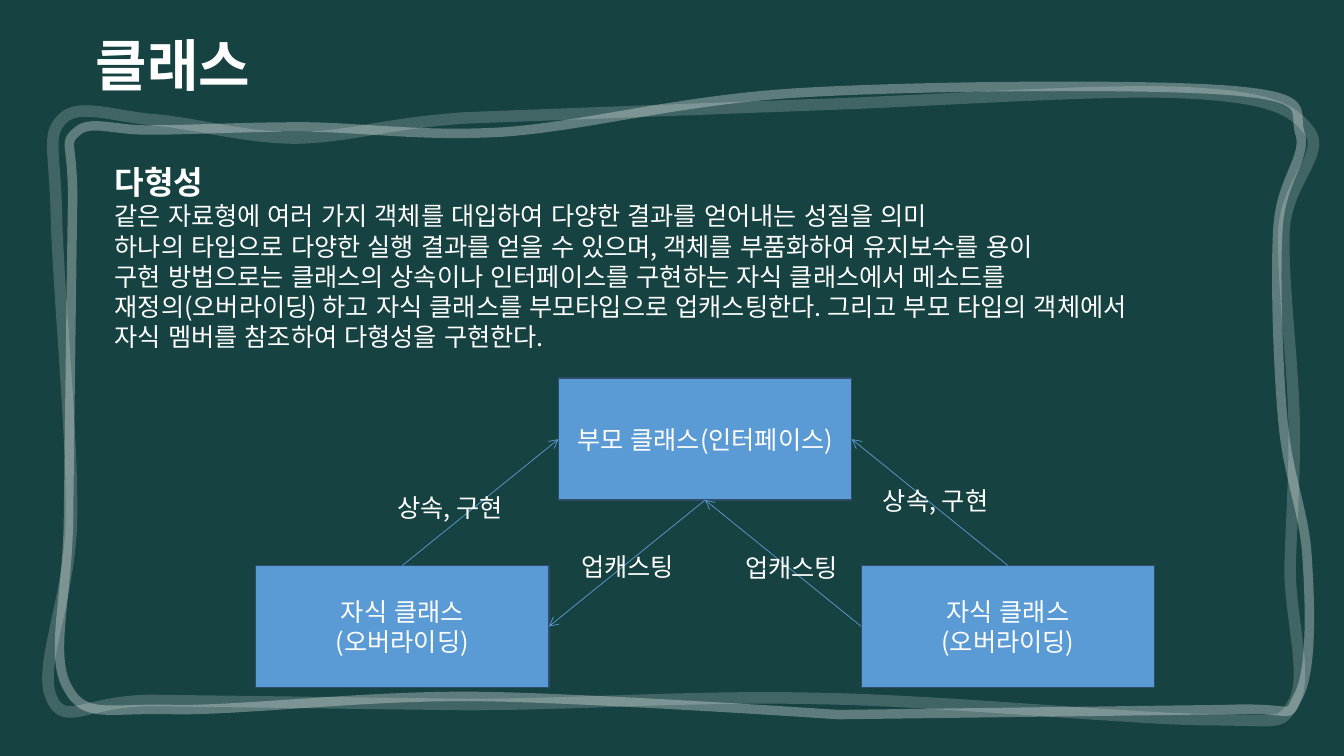
from dataclasses import dataclass

from lxml import etree
from pptx import Presentation
from pptx.dml.color import RGBColor
from pptx.enum.lang import MSO_LANGUAGE_ID
from pptx.enum.shapes import MSO_CONNECTOR, MSO_SHAPE
from pptx.enum.text import MSO_ANCHOR, MSO_AUTO_SIZE, PP_ALIGN
from pptx.oxml.ns import qn
from pptx.util import Cm, Pt

RECT, LINE = MSO_SHAPE.RECTANGLE, MSO_CONNECTOR.STRAIGHT
TOP, MID = MSO_ANCHOR.TOP, MSO_ANCHOR.MIDDLE
LEFT, CENTER = PP_ALIGN.LEFT, PP_ALIGN.CENTER
FIT = MSO_AUTO_SIZE.NONE
KOREAN = MSO_LANGUAGE_ID.KOREAN
# Connection sites of a rectangle
NORTH, WEST, SOUTH, EAST = range(4)


@dataclass(frozen=True)
class Theme:
    font: str = "Noto Sans CJK KR"
    board: RGBColor = RGBColor(0x16, 0x42, 0x41)
    chalk: RGBColor = RGBColor(0xFF, 0xFF, 0xFF)
    box: RGBColor = RGBColor(0x5B, 0x9B, 0xD5)
    edge: RGBColor = RGBColor(0x2D, 0x4D, 0x6A)
    title: int = 40
    head: int = 23
    text: int = 18


THEME = Theme()

TITLE = "클래스"
HEAD = "다형성"
BODY = [
    "같은 자료형에 여러 가지 객체를 대입하여 다양한 결과를 얻어내는 성질을 의미",
    "하나의 타입으로 다양한 실행 결과를 얻을 수 있으며, 객체를 부품화하여 유지보수를 용이",
    "구현 방법으로는 클래스의 상속이나 인터페이스를 구현하는 자식 클래스에서 메소드를",
    "재정의(오버라이딩) 하고 자식 클래스를 부모타입으로 업캐스팅한다. 그리고 부모 타입의 객체에서",
    "자식 멤버를 참조하여 다형성을 구현한다.",
]
PARENT = ["부모 클래스(인터페이스)"]
CHILD = ["자식 클래스", "(오버라이딩)"]

# Name: lines, column (-1 left, 0 middle, 1 right), top in cm
BOXES = {
    "parent": (PARENT, 0, 9.53),
    "left": (CHILD, -1, 14.25),
    "right": (CHILD, 1, 14.25),
}
# From box and site, to box and site
ARROWS = [
    ("left", NORTH, "parent", WEST),
    ("parent", SOUTH, "left", EAST),
    ("right", WEST, "parent", SOUTH),
    ("right", NORTH, "parent", EAST),
]
# Text, left, top, width in cm
LABELS = [
    ("상속, 구현", 9.77, 12.27, 3.2),
    ("업캐스팅", 14.4, 13.77, 3.07),
    ("업캐스팅", 18.53, 13.79, 3.07),
    ("상속, 구현", 22, 12.1, 3.2),
]
# Chalk strokes: width in points, opacity in percent, bounds (left, top,
# width, height), start, then parts, all in inches; a part of three points
# is a Bezier curve, of one point a line
STROKES = [
    (6.75, 31, (0.59, 0.86, 12.4, 6.23), (1.51, 1.29), [
        [(1.14, 1.3), (0.89, 1.18), (0.76, 1.31)],
        [(0.62, 1.43), (0.73, 1.4), (0.72, 2.04)],
        [(0.71, 2.68), (0.69, 4.34), (0.68, 5.14)],
        [(0.67, 5.94), (0.49, 6.5), (0.67, 6.82)],
        [(0.84, 7.14), (1.06, 7.02), (1.73, 7.04)],
        [(2.4, 7.05), (3.61, 6.9), (4.71, 6.91)],
        [(5.8, 6.92), (8.32, 7.09), (8.32, 7.09)],
        [(12.15, 7.04)],
        [(12.91, 7.01), (12.75, 7.16), (12.88, 6.91)],
        [(13.02, 6.66), (13, 6), (12.97, 5.55)],
        [(12.95, 5.1), (12.78, 4.74), (12.73, 4.19)],
        [(12.68, 3.64), (12.65, 2.73), (12.68, 2.26)],
        [(12.71, 1.78), (12.97, 1.56), (12.9, 1.33)],
        [(12.82, 1.11), (13.06, 0.97), (12.23, 0.9)],
        [(11.41, 0.83), (9.15, 0.85), (7.95, 0.92)],
        [(6.74, 0.99), (5.83, 1.25), (5, 1.31)],
        [(4.17, 1.36), (3.57, 1.26), (2.99, 1.26)],
        [(2.4, 1.26), (1.88, 1.29), (1.51, 1.29)],
    ]),
    (8.25, 18, (0.47, 0.91, 12.56, 6.24), (1.54, 1.19), [
        [(1.15, 1.16), (0.79, 1.02), (0.63, 1.17)],
        [(0.46, 1.33), (0.54, 1.45), (0.56, 2.11)],
        [(0.57, 2.76), (0.72, 4.3), (0.71, 5.1)],
        [(0.71, 5.91), (0.37, 6.61), (0.51, 6.92)],
        [(0.64, 7.23), (0.86, 6.94), (1.54, 6.95)],
        [(4.62, 6.99)],
        [(5.72, 6.99), (6.9, 6.9), (8.12, 6.93)],
        [(9.34, 6.95), (11.17, 7.13), (11.96, 7.14)],
        [(12.74, 7.14), (12.7, 7.21), (12.84, 6.96)],
        [(12.98, 6.71), (12.8, 6.11), (12.8, 5.65)],
        [(12.81, 5.19), (12.85, 4.74), (12.84, 4.17)],
        [(12.83, 3.61), (12.72, 2.76), (12.74, 2.28)],
        [(12.77, 1.8), (13.16, 1.52), (12.99, 1.3)],
        [(12.82, 1.07), (12.57, 0.96), (11.75, 0.92)],
        [(10.93, 0.88), (9.3, 1), (8.08, 1.04)],
        [(4.62, 1.17)],
        [(3.79, 1.23), (3.46, 1.36), (2.94, 1.37)],
        [(2.43, 1.37), (1.92, 1.22), (1.54, 1.19)],
    ]),
]
INCH = 2.54
BOX_W, BOX_H, CENTER_X, GAP_X, INSET = 7.39, 3.07, 17.77, 7.63, 0.4


def write(shape, rows, align=LEFT, anchor=TOP):
    """Fill a shape with paragraphs; each row is (text, size, bold)."""
    frame = shape.text_frame
    frame.word_wrap, frame.auto_size = True, FIT
    frame.vertical_anchor = anchor
    frame.text = "\n".join(text for text, _, _ in rows)
    for para, (_, size, bold) in zip(frame.paragraphs, rows):
        para.alignment = align
        font = para.font
        font.name, font.size, font.bold = THEME.font, Pt(size), bold
        font.language_id = KOREAN
        font.color.rgb = THEME.chalk
        props = para._p.pPr.find(qn("a:defRPr"))
        latin = props.find(qn("a:latin"))
        latin.addnext(props.makeelement(qn("a:ea"), {"typeface": THEME.font}))


def plain(lines):
    return [(line, THEME.text, False) for line in lines]


def draw_stroke(shapes, width, alpha, bounds, start, parts):
    """Set up a freeform over the bounds, then give it the curved outline."""
    x, y, w, h = (Cm(n * INCH) for n in bounds)
    pen = shapes.build_freeform(x, y)
    pen.add_line_segments([(x + w, y), (x + w, y + h), (x, y + h)])
    stroke = pen.convert_to_shape()
    outline = stroke._element.spPr.find(".//" + qn("a:path"))
    for old in list(outline):
        outline.remove(old)
    kinds = {1: "a:lnTo", 3: "a:cubicBezTo"}
    steps = [("a:moveTo", [start])]
    steps += [(kinds[len(part)], part) for part in parts]
    for kind, points in steps:
        step = etree.SubElement(outline, qn(kind))
        for px, py in points:
            etree.SubElement(step, qn("a:pt"), x=str(Cm(px * INCH) - x),
                             y=str(Cm(py * INCH) - y))
    etree.SubElement(outline, qn("a:close"))

    stroke.shadow.inherit = False
    stroke.fill.background()
    stroke.line.width = Pt(width)
    stroke.line.color.rgb = THEME.chalk
    color = stroke.line._ln.find(".//" + qn("a:srgbClr"))
    etree.SubElement(color, qn("a:alpha"), val=str(alpha * 1000))


def draw_box(shapes, lines, column, top):
    left = CENTER_X + column * GAP_X - BOX_W / 2
    box = shapes.add_shape(RECT, Cm(left), Cm(top), Cm(BOX_W), Cm(BOX_H))
    box.shadow.inherit = False
    box.fill.solid()
    box.fill.fore_color.rgb = THEME.box
    box.line.color.rgb = THEME.edge
    box.line.width = Pt(1)
    write(box, plain(lines), CENTER, MID)
    box.text_frame.margin_left = box.text_frame.margin_right = Cm(INSET)
    return box


def draw_arrow(shapes, tail, out, head, into):
    arrow = shapes.add_connector(LINE, 0, 0, 0, 0)
    arrow.begin_connect(tail, out)
    arrow.end_connect(head, into)
    arrow.line.color.rgb = THEME.box
    arrow.line.width = Pt(0.5)
    etree.SubElement(arrow.line._ln, qn("a:tailEnd"), type="arrow")
    etree.SubElement(arrow._element.spPr, qn("a:effectLst"))


def main():
    deck = Presentation()
    deck.slide_width, deck.slide_height = Cm(33.87), Cm(19.05)
    slide = deck.slides.add_slide(deck.slide_layouts[5])
    slide.background.fill.solid()
    slide.background.fill.fore_color.rgb = THEME.board
    shapes = slide.shapes
    title = shapes.title
    title.left, title.top = Cm(2.16), Cm(-0.2)
    title.width, title.height = Cm(15.09), Cm(2.8)
    write(title, [(TITLE, THEME.title, True)])
    title.text_frame.paragraphs[0].line_spacing = 1.5
    for stroke in STROKES:
        draw_stroke(shapes, *stroke)
    body = shapes.add_textbox(Cm(2.64), Cm(3.96), Cm(28.7), Cm(5.03))
    write(body, [(HEAD, THEME.head, True), *plain(BODY)])
    boxes = {name: draw_box(shapes, *box) for name, box in BOXES.items()}
    for tail, out, head, into in ARROWS:
        draw_arrow(shapes, boxes[tail], out, boxes[head], into)
    for text, left, top, width in LABELS:
        label = shapes.add_textbox(Cm(left), Cm(top), Cm(width), Cm(1.02))
        write(label, plain([text]))
    deck.save("out.pptx")


if __name__ == "__main__":
    main()
